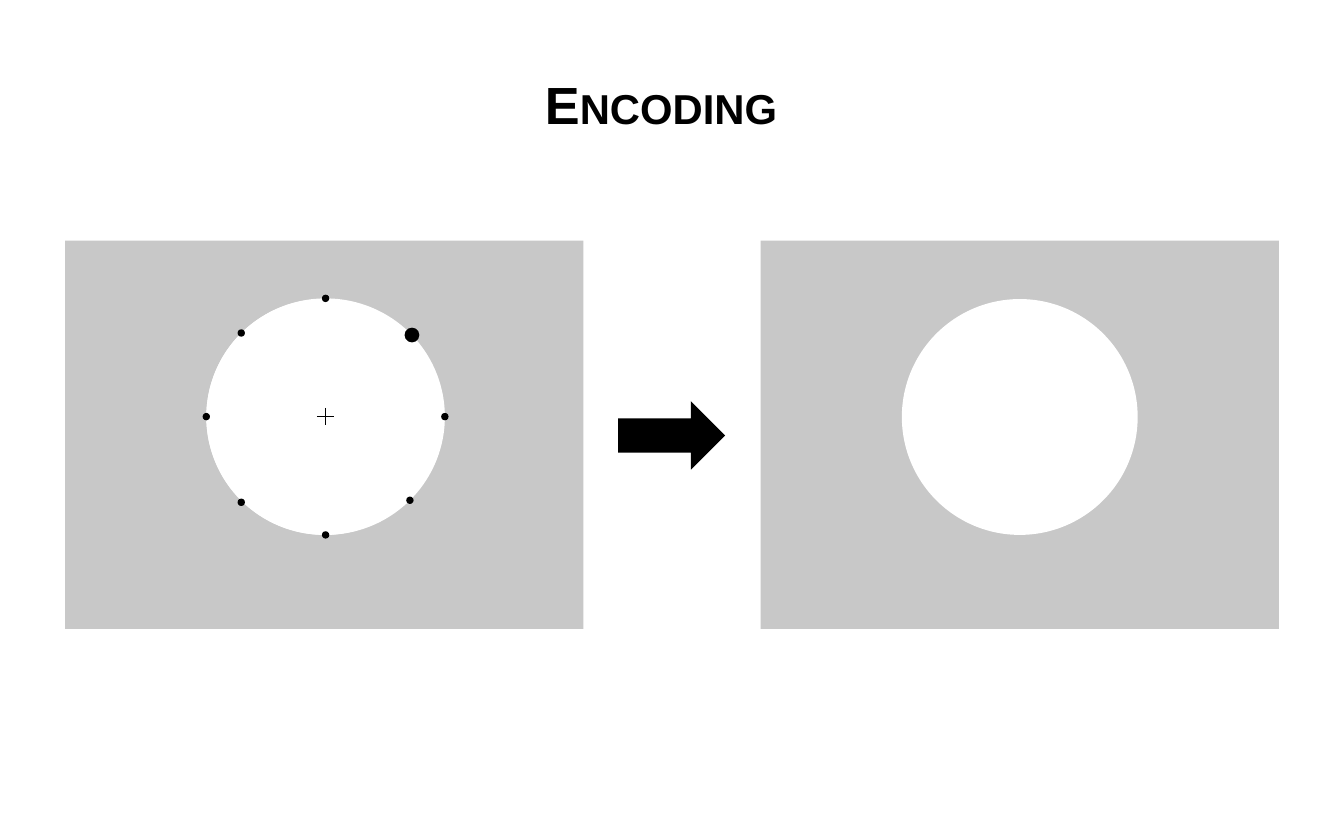
from dataclasses import dataclass
from math import cos, radians, sin

from lxml import etree
from pptx import Presentation
from pptx.dml.color import RGBColor
from pptx.enum.shapes import MSO_CONNECTOR, MSO_SHAPE
from pptx.enum.text import MSO_ANCHOR, MSO_AUTO_SIZE, PP_ALIGN
from pptx.oxml.ns import qn
from pptx.util import Inches, Pt

RECTANGLE, ELLIPSE = MSO_SHAPE.RECTANGLE, MSO_SHAPE.OVAL
RIGHT_ARROW, STRAIGHT = MSO_SHAPE.RIGHT_ARROW, MSO_CONNECTOR.STRAIGHT
TITLE_ONLY = 5


@dataclass(frozen=True)
class Theme:
    ink: RGBColor = RGBColor(0x00, 0x00, 0x00)
    paper: RGBColor = RGBColor(0xFF, 0xFF, 0xFF)
    panel: RGBColor = RGBColor(0xC8, 0xC8, 0xC8)
    font: str = "Arial"
    title_size: Pt = Pt(56)
    hairline: Pt = Pt(0.5)


THEME = Theme()

# Screen panels and the circle inside each, in inches
PANEL_TOP, PANEL_WIDTH, PANEL_HEIGHT = 3.58, 7.71, 5.78
PANEL_LEFTS = (0.97, 11.32)
CIRCLE_SIZE, CIRCLE_INSET_X, CIRCLE_INSET_Y = 3.51, 2.1, 0.87

# Dots around the ring: diameter, enlarged target, and small offsets by angle
DOT_SIZE, TARGET_SIZE, TARGET_ANGLE = 0.11, 0.22, 45
DOT_OFFSETS = {45: (0.03, 0.03), 225: (0, 0.03)}
CROSS_ARM = 0.13


def add_filled_shape(slide, kind, box, color):
    shape = slide.shapes.add_shape(kind, *(Inches(length) for length in box))
    shape.shadow.inherit = False
    shape.fill.solid()
    shape.fill.fore_color.rgb = color
    shape.line.fill.background()
    return shape


def add_title(slide, box, text):
    title = slide.shapes.title
    title.left, title.top, title.width, title.height = (Inches(length) for length in box)
    frame = title.text_frame
    frame.text = text
    frame.word_wrap = True
    frame.auto_size = MSO_AUTO_SIZE.NONE
    frame.vertical_anchor = MSO_ANCHOR.TOP
    frame.margin_left = frame.margin_right = Inches(0.05)
    frame.margin_top, frame.margin_bottom = Inches(0.13), 0
    paragraph = frame.paragraphs[0]
    paragraph.alignment = PP_ALIGN.LEFT
    run = paragraph.runs[0]
    run.font.name = THEME.font
    run.font.size = THEME.title_size
    run.font.bold = True
    run.font.color.rgb = THEME.ink
    run.font._element.set("cap", "small")


def add_panel(slide, box):
    left, top, _, _ = box
    add_filled_shape(slide, RECTANGLE, box, THEME.panel)
    circle = (left + CIRCLE_INSET_X, top + CIRCLE_INSET_Y, CIRCLE_SIZE, CIRCLE_SIZE)
    add_filled_shape(slide, ELLIPSE, circle, THEME.paper)


def add_line(slide, start, end):
    line = slide.shapes.add_connector(STRAIGHT, *(Inches(length) for length in start + end))
    line.line.color.rgb = THEME.ink
    line.line.width = THEME.hairline
    etree.SubElement(line._element.spPr, qn("a:effectLst"))


def add_dotted_ring(slide, box):
    left, top, width, height = box
    center_x, center_y = left + width / 2, top + height / 2
    add_filled_shape(slide, ELLIPSE, box, THEME.paper)

    # Eight dots at equal angles, one of them enlarged
    for angle in range(0, 360, 45):
        size = TARGET_SIZE if angle == TARGET_ANGLE else DOT_SIZE
        offset_x, offset_y = DOT_OFFSETS.get(angle, (0, 0))
        x = center_x + width / 2 * cos(radians(angle)) + offset_x
        y = center_y - height / 2 * sin(radians(angle)) + offset_y
        add_filled_shape(slide, ELLIPSE, (x - size / 2, y - size / 2, size, size), THEME.ink)

    # Fixation cross
    for arm_x, arm_y in ((0, CROSS_ARM), (CROSS_ARM, 0)):
        add_line(slide, (center_x - arm_x, center_y - arm_y),
                 (center_x + arm_x, center_y + arm_y))


def main():
    presentation = Presentation()
    presentation.slide_width, presentation.slide_height = Inches(20), Inches(12.5)
    slide = presentation.slides.add_slide(presentation.slide_layouts[TITLE_ONLY])
    slide.background.fill.solid()
    slide.background.fill.fore_color.rgb = THEME.paper

    add_title(slide, (8.06, 0.94, 3.7, 1.04), "Encoding")
    for left in PANEL_LEFTS:
        add_panel(slide, (left, PANEL_TOP, PANEL_WIDTH, PANEL_HEIGHT))
    add_filled_shape(slide, RIGHT_ARROW, (9.2, 5.97, 1.59, 1.02), THEME.ink)
    add_dotted_ring(slide, (3.07, 4.44, 3.55, 3.52))

    presentation.save("out.pptx")


if __name__ == "__main__":
    main()
